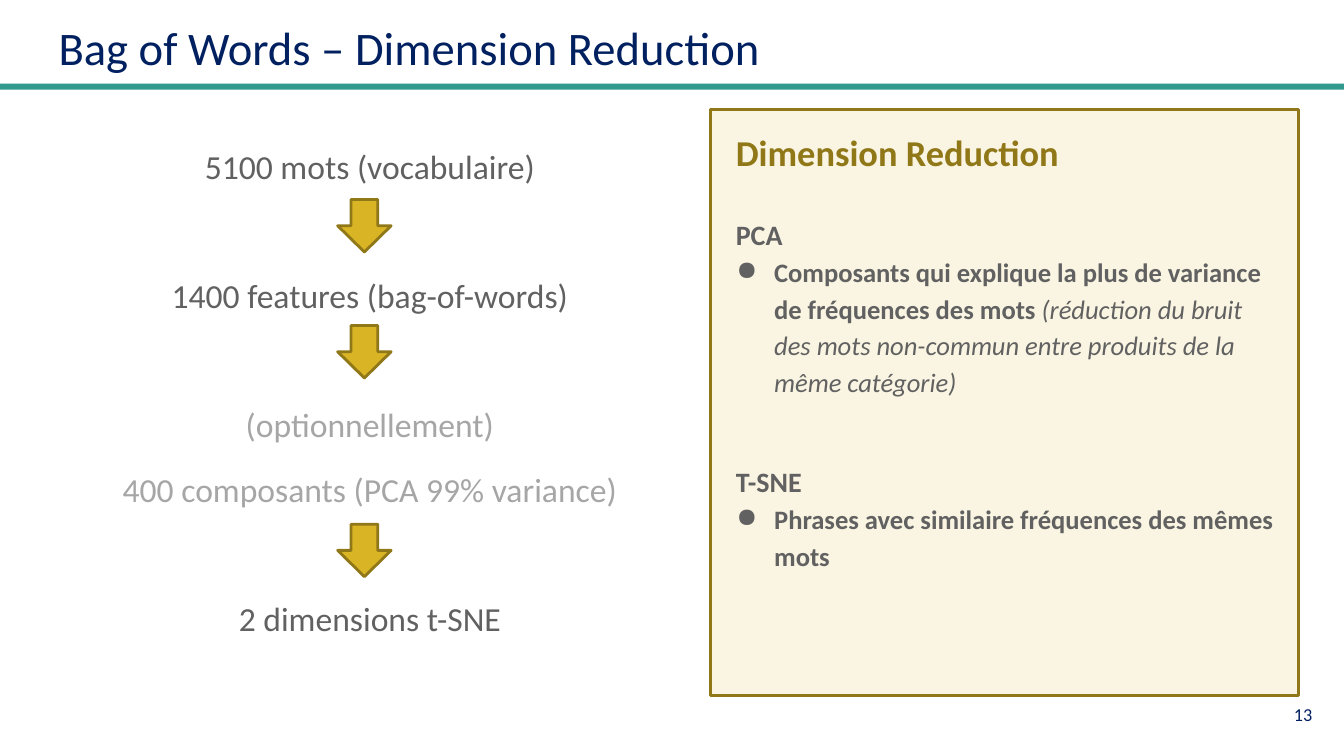
from dataclasses import dataclass

import pptx
import pptx.dml.color
import pptx.enum.shapes
import pptx.enum.text
import pptx.oxml.ns
import pptx.util
from lxml import etree

Pt = pptx.util.Pt
Align = pptx.enum.text.PP_ALIGN
Anchor = pptx.enum.text.MSO_ANCHOR
Preset = pptx.enum.shapes.MSO_SHAPE

NAVY, GREY, PALE_GREY = "002060", "616161", "A6A6A6"
TEAL, GOLD, DARK_GOLD, CREAM = "31998E", "D9B425", "907819", "FAF5E2"
INSET = 9.4
MARGIN = 8.6
BULLET_MARGIN = 36
BULLET_HANG = 27


@dataclass(frozen=True)
class Box:
    left: float
    top: float
    width: float
    height: float


@dataclass(frozen=True)
class Line:
    text: str
    size: float
    color: str
    bold: bool = False
    italic_tail: str = ""
    bullet: bool = False
    margin: float = 0
    before: float = 0
    spacing: float = 1.0
    align: Align = Align.LEFT


def rgb(color: str) -> pptx.dml.color.RGBColor:
    return pptx.dml.color.RGBColor.from_string(color)


def set_indent(paragraph, line: Line) -> None:
    properties = paragraph._p.get_or_add_pPr()
    margin = BULLET_MARGIN if line.bullet else line.margin
    properties.set("marL", str(Pt(margin)))
    properties.set("indent", str(Pt(-BULLET_HANG if line.bullet else 0)))
    if line.bullet:
        qn = pptx.oxml.ns.qn
        bullet_color = etree.SubElement(properties, qn("a:buClr"))
        etree.SubElement(bullet_color, qn("a:srgbClr")).set("val", line.color)
        etree.SubElement(properties, qn("a:buChar")).set("char", "●")


def write_lines(shape, lines: list[Line], anchor: Anchor = Anchor.TOP) -> None:
    frame = shape.text_frame
    frame.word_wrap = True
    frame.vertical_anchor = anchor
    frame.margin_left = frame.margin_right = Pt(INSET)
    frame.margin_top = frame.margin_bottom = Pt(INSET)
    for index, line in enumerate(lines):
        paragraph = frame.add_paragraph() if index else frame.paragraphs[0]
        set_indent(paragraph, line)
        paragraph.alignment = line.align
        paragraph.line_spacing = line.spacing
        if line.before:
            paragraph.space_before = Pt(line.before)
        paragraph.font.name = "Calibri"
        paragraph.font.size = Pt(line.size)
        paragraph.font.color.rgb = rgb(line.color)
        run = paragraph.add_run()
        run.text = line.text
        if line.italic_tail:
            run.font.bold = line.bold
            tail = paragraph.add_run()
            tail.text = line.italic_tail
            tail.font.italic = True
        else:
            paragraph.font.bold = line.bold


def add_text(slide, box: Box, lines: list[Line], anchor: Anchor = Anchor.TOP) -> None:
    shape = slide.shapes.add_textbox(Pt(box.left), Pt(box.top), Pt(box.width), Pt(box.height))
    write_lines(shape, lines, anchor)


def add_preset(slide, preset: Preset, box: Box, fill: str, outline: str = "", weight: float = 0):
    shape = slide.shapes.add_shape(
        preset, Pt(box.left), Pt(box.top), Pt(box.width), Pt(box.height)
    )
    shape.shadow.inherit = False
    shape.fill.solid()
    shape.fill.fore_color.rgb = rgb(fill)
    if outline:
        shape.line.color.rgb = rgb(outline)
        shape.line.width = Pt(weight)
    else:
        shape.line.fill.background()
    return shape


def step(text: str, color: str = GREY, before: float = 0) -> Line:
    return Line(text, 24, color, margin=MARGIN, before=before, spacing=1.6, align=Align.CENTER)


def heading(text: str, size: float, color: str, before: float = 0) -> Line:
    return Line(text, size, color, bold=True, margin=MARGIN, before=before, spacing=1.15)


def point(text: str, italic_tail: str = "") -> Line:
    return Line(text, 19, GREY, bold=True, italic_tail=italic_tail, bullet=True, spacing=1.15)


def main() -> None:
    presentation = pptx.Presentation()
    presentation.slide_width = Pt(960)
    presentation.slide_height = Pt(540)
    slide = presentation.slides.add_slide(presentation.slide_layouts[6])

    add_preset(slide, Preset.RECTANGLE, Box(0, 59.8, 960, 4.3), TEAL)
    title = Line("Bag of Words – Dimension Reduction", 33.3, NAVY)
    add_text(slide, Box(32.4, 3.6, 894.2, 59.8), [title], Anchor.MIDDLE)

    arrow_gap = 46
    steps = [
        step("5100 mots (vocabulaire)"),
        step("1400 features (bag-of-words)", before=arrow_gap),
        step("(optionnellement)", PALE_GREY, arrow_gap),
        step("400 composants (PCA 99% variance)", PALE_GREY),
        step("2 dimensions t-SNE", before=arrow_gap),
    ]
    add_text(slide, Box(32.4, 77.8, 455, 411), steps)

    page_number = Line("13", 13, NAVY, align=Align.RIGHT)
    add_text(slide, Box(889.2, 489.6, 57.6, 41), [page_number], Anchor.MIDDLE)

    panel = add_preset(
        slide, Preset.RECTANGLE, Box(507.6, 78.5, 419.8, 418.3), CREAM, DARK_GOLD, 2.25
    )
    write_lines(panel, [
        heading("Dimension Reduction", 26, DARK_GOLD),
        heading("PCA", 20, GREY, before=28),
        point(
            "Composants qui explique la plus de variance de fréquences des mots ",
            "(réduction du bruit des mots non-commun entre produits de la même catégorie)",
        ),
        heading("T-SNE", 20, GREY, before=44),
        point("Phrases avec similaire fréquences des mêmes mots"),
    ])

    for top in (142.5, 232.5, 374.4):
        add_preset(slide, Preset.DOWN_ARROW, Box(241.2, top, 38.2, 37.5), GOLD, DARK_GOLD, 2)

    presentation.save("out.pptx")


if __name__ == "__main__":
    main()
